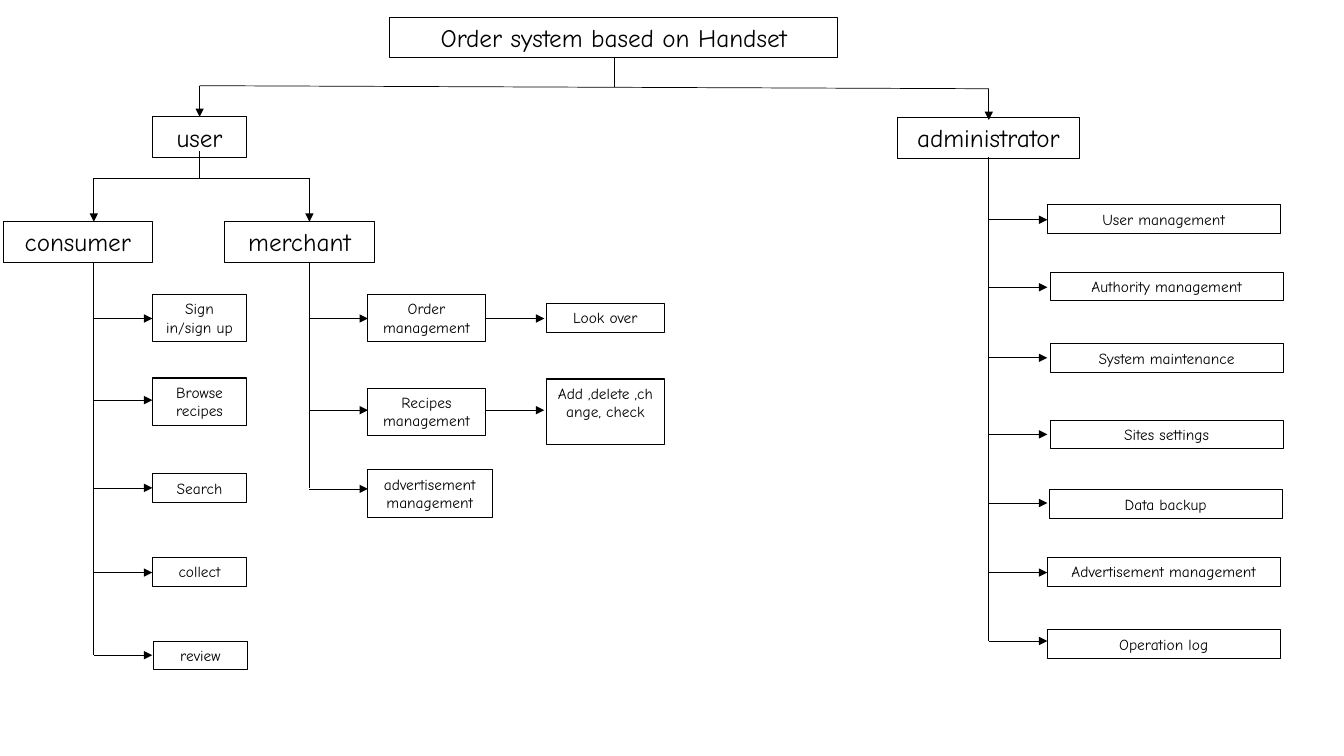
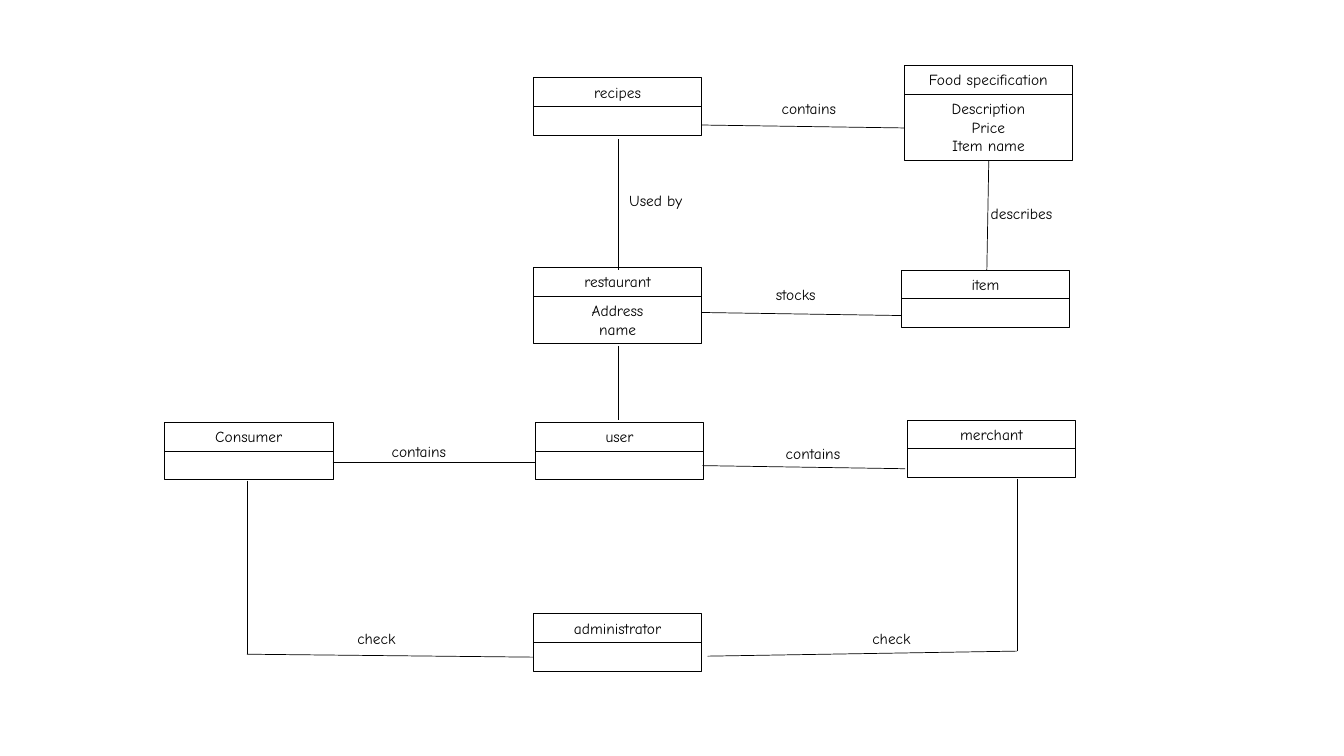
from lxml import etree
from pptx import Presentation
from pptx.dml.color import RGBColor
from pptx.enum.shapes import MSO_CONNECTOR, MSO_SHAPE
from pptx.enum.text import MSO_ANCHOR, PP_ALIGN
from pptx.oxml.ns import qn
from pptx.util import Pt

# Shared style, lengths in points
COLORS = {"ink": "000000", "paper": "FFFFFF"}
FONT = "Comic Neue"
HEADING, BODY = 18, 11
BOX_LINE, LINK_LINE = 0.75, 0.5
LINE_SPACING, INSETS = 1.21, 7.2
ARROW = 41.8
ENTITY_WIDTH, LABEL_WIDTH = 120.5, 68.4

# Function tree: text, left, top, width
HEADINGS = [
    ("Order system based on Handset", 278.6, 12.2, 319.7),
    ("user", 108.7, 83.5, 67.7),
    ("administrator", 640.8, 84.2, 130.3),
    ("consumer", 2.2, 158.4, 106.6),
    ("merchant", 160.6, 158.4, 106.6),
]
USER_X, ADMIN_X, CONSUMER_X, MERCHANT_X = 142.6, 706.3, 67, 221
ROOT_X, ROOT_Y, ADMIN_Y, FORK_Y = 438.8, 61.2, 63.4, 127.4

# Branches: trunk x, trunk top, trunk bottom,
# then leaves: text, left, top, width, text lines, arrow y
BRANCHES = [
    (CONSUMER_X, 187.2, 468, [
        ("Sign in/sign up", 108.7, 210.2, 67.7, 2, 227.5),
        ("Browse recipes", 108.7, 270, 67.7, 2, 285.8),
        ("Search", 108.7, 338.4, 67.7, 1, 348.5),
        ("collect", 108.7, 398.2, 67.7, 1, 409),
        ("review", 109.4, 457.9, 67.7, 1, 468),
    ]),
    (MERCHANT_X, 187.2, 348.5, [
        ("Order management", 262.4, 210.2, 84.5, 2, 227.5),
        ("Recipes management", 262.4, 277.2, 84.5, 2, 293),
        ("advertisement management", 262.4, 335.5, 89.3, 2, 349.2),
    ]),
    (ADMIN_X, 112.3, 457.9, [
        ("User management", 748.1, 146.2, 166.3, 1, 157),
        ("Authority management", 750.2, 194.4, 166.3, 1, 205.2),
        ("System maintenance", 750.2, 245.5, 166.3, 1, 255.6),
        ("Sites settings", 750.2, 300.2, 166.3, 1, 310.3),
        ("Data backup", 749.5, 349.9, 166.3, 1, 359.3),
        ("Advertisement management", 748.1, 398.2, 166.3, 1, 409),
        ("Operation log", 748.1, 450, 166.3, 1, 457.9),
    ]),
]
ACTIONS_X = 347
ACTIONS = [
    ("Look over", 390.2, 216.7, 84.5, 1, 227.5),
    ("Add ,delete ,change, check", 390.2, 270.7, 84.5, 3, 293),
]

# Domain model: name, left, top, fields
ENTITIES = [
    ("recipes", 380.9, 55.6, []),
    ("Food specification", 645.8, 46.8, ["Description", "Price", "Item name"]),
    ("restaurant", 380.9, 191.2, ["Address", "name"]),
    ("item", 643.7, 193, []),
    ("Consumer", 117.4, 301.7, []),
    ("user", 382.3, 301.7, []),
    ("merchant", 648, 300.2, []),
    ("administrator", 380.9, 438.5, []),
]
RELATIONS = [
    ((441.4, 99.4), (441.4, 193)),
    ((501.1, 89.3), (645.8, 91.4)),
    ((706.3, 114.5), (704.9, 193)),
    ((501.1, 223.2), (643.7, 225.4)),
    ((441.4, 247), (441.4, 300.2)),
    ((237.6, 330.5), (382.3, 330.5)),
    ((501.8, 332.6), (646.6, 334.8)),
    ((176.4, 343.4), (176.4, 467.3)),
    ((176.4, 467.3), (380.9, 469.4)),
    ((726.5, 342), (726.5, 465.1)),
    ((505.4, 468.7), (726.5, 465.1)),
]
LABELS = [
    ("contains", 543.6, 67),
    ("Used by", 434.2, 133.2),
    ("describes", 695.5, 142.6),
    ("stocks", 534.2, 200.2),
    ("contains", 265, 312.5),
    ("contains", 546.5, 313.9),
    ("check", 234.7, 445.7),
    ("check", 602.6, 445.7),
]


def color(name):
    return RGBColor.from_string(COLORS[name])


def text_height(lines, size=BODY):
    return INSETS + LINE_SPACING * size * lines


def write(shape, text, size=BODY, font=FONT, ink="ink", align=PP_ALIGN.CENTER):
    """Put text in a shape, one paragraph for each line."""
    frame = shape.text_frame
    frame.word_wrap = True
    frame.vertical_anchor = MSO_ANCHOR.TOP
    frame.text = text
    for para in frame.paragraphs:
        para.alignment = align
        for span in para.runs:
            span.font.size = Pt(size)
            span.font.name = font
            span.font.color.rgb = color(ink)


def add_box(page, text, left, top, width, lines=1, size=BODY):
    box = page.shapes.add_shape(MSO_SHAPE.RECTANGLE, Pt(left), Pt(top), Pt(width),
                                Pt(text_height(lines, size)))
    box.shadow.inherit = False
    box.fill.background()
    box.line.color.rgb = color("ink")
    box.line.width = Pt(BOX_LINE)
    if text:
        write(box, text, size=size)


def add_label(page, text, left, top):
    box = page.shapes.add_textbox(Pt(left), Pt(top), Pt(LABEL_WIDTH), Pt(text_height(1)))
    write(box, text)


def add_link(page, start, end, arrow=False):
    link = page.shapes.add_connector(MSO_CONNECTOR.STRAIGHT,
                                     *(Pt(value) for value in (*start, *end)))
    link.line.color.rgb = color("ink")
    link.line.width = Pt(LINK_LINE)
    if arrow:
        etree.SubElement(link.line._get_or_add_ln(), qn("a:tailEnd"), type="triangle")
    etree.SubElement(link._element.spPr, qn("a:effectLst"))


def add_leaves(page, start_x, leaves):
    for text, left, top, width, lines, arrow_y in leaves:
        add_link(page, (start_x, arrow_y), (start_x + ARROW, arrow_y), arrow=True)
        add_box(page, text, left, top, width, lines)


def add_entity(page, name, left, top, fields):
    add_box(page, name, left, top, ENTITY_WIDTH)
    add_box(page, "\n".join(fields), left, top + text_height(1), ENTITY_WIDTH,
            max(1, len(fields)))


def add_page(deck):
    page = deck.slides.add_slide(deck.slide_layouts[6])
    page.background.fill.solid()
    page.background.fill.fore_color.rgb = color("paper")
    return page


def build_function_tree(page):
    for text, left, top, width in HEADINGS:
        add_box(page, text, left, top, width, size=HEADING)

    # Fork from the system to user and administrator
    add_link(page, (ROOT_X, 41.8), (ROOT_X, 61.9))
    add_link(page, (USER_X, ROOT_Y), (ADMIN_X, ADMIN_Y))
    add_link(page, (USER_X, ROOT_Y), (USER_X, 83.5), arrow=True)
    add_link(page, (ADMIN_X, ADMIN_Y), (ADMIN_X, 85.7), arrow=True)

    # Fork from user to consumer and merchant
    add_link(page, (USER_X, 108), (USER_X, FORK_Y))
    add_link(page, (CONSUMER_X, FORK_Y), (MERCHANT_X, FORK_Y))
    for x in (CONSUMER_X, MERCHANT_X):
        add_link(page, (x, FORK_Y), (x, 158.4), arrow=True)

    # Trunks with their leaves
    for x, top, bottom, leaves in BRANCHES:
        add_link(page, (x, top), (x, bottom))
        add_leaves(page, x, leaves)
    add_leaves(page, ACTIONS_X, ACTIONS)


def build_domain_model(page):
    for entity in ENTITIES:
        add_entity(page, *entity)
    for start, end in RELATIONS:
        add_link(page, start, end)
    for label in LABELS:
        add_label(page, *label)


def main():
    deck = Presentation()
    deck.slide_width, deck.slide_height = Pt(960), Pt(540)
    build_function_tree(add_page(deck))
    build_domain_model(add_page(deck))
    deck.save("out.pptx")


if __name__ == "__main__":
    main()
